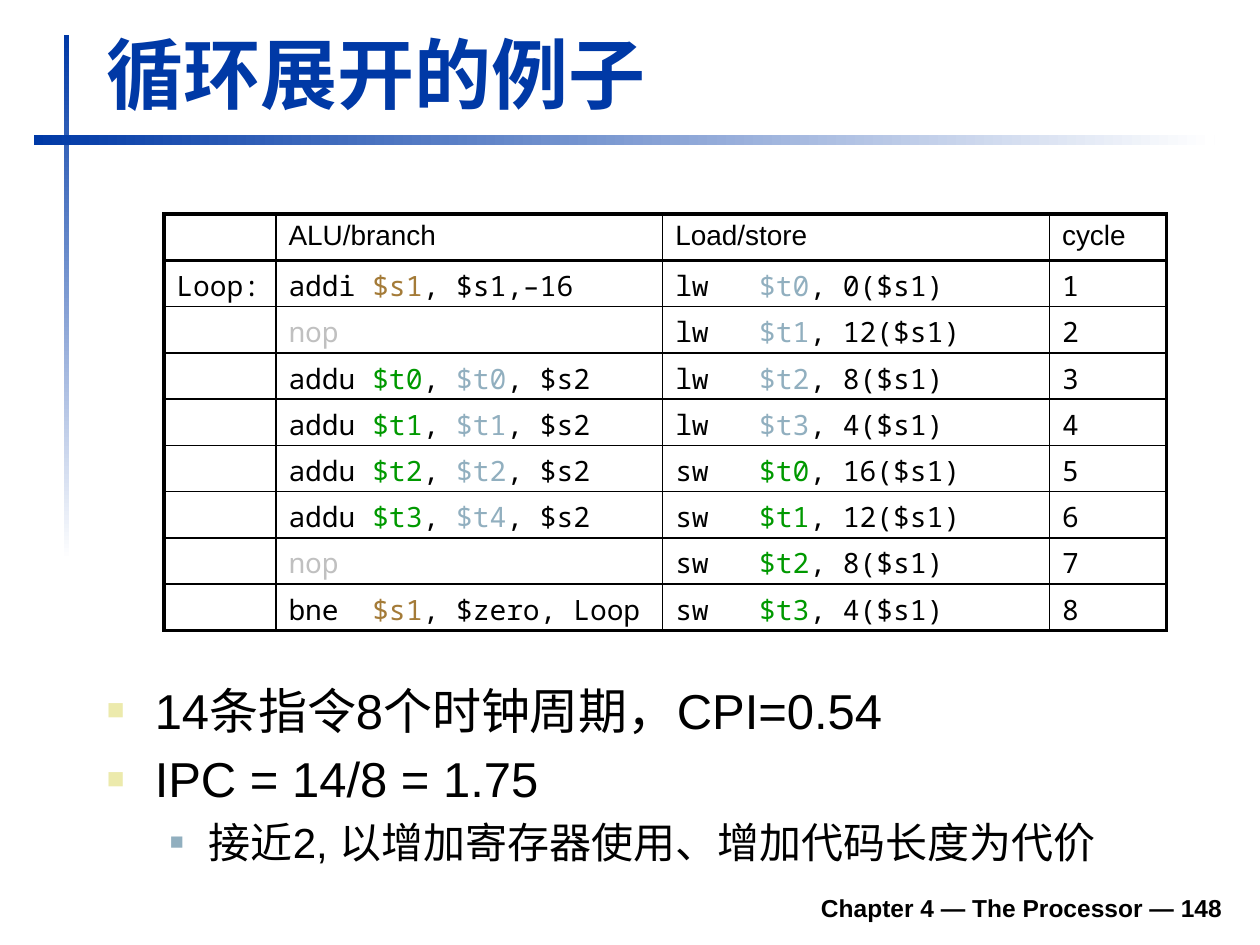
"""Build the loop unrolling slide: rules, title, schedule table, conclusions and footer."""
from lxml.etree import SubElement
from pptx import Presentation
from pptx.dml.color import RGBColor
from pptx.enum.shapes import MSO_SHAPE
from pptx.enum.text import MSO_ANCHOR, MSO_AUTO_SIZE, PP_ALIGN
from pptx.oxml.ns import qn
from pptx.util import Inches, Pt

COLORS = {
    "black": "000000", "white": "FFFFFF", "blue": "0039A6", "pointer": "A47B38",
    "loaded": "91AFBF", "result": "009900", "idle": "C0C0C0", "cream": "ECEAAC",
}

deck = Presentation()
deck.slide_width, deck.slide_height = Inches(10), Inches(7.5)
slide = deck.slides.add_slide(deck.slide_layouts[6])
UNIT = deck.slide_width / 100


def grid(*counts):
    return [round(count * UNIT) for count in counts]


def add_run(paragraph, text, size, color="black", font="Arial", bold=False):
    run = paragraph.add_run()
    run.text = text
    run.font.size, run.font.name, run.font.bold = Pt(size), font, bold
    run.font.color.rgb = RGBColor.from_string(COLORS[color])


for area, angle in (((5.1, 2.8, 0.4, 41.7), 270), ((2.7, 10.7, 93.7, 0.8), 0)):
    rule = slide.shapes.add_shape(MSO_SHAPE.RECTANGLE, *grid(*area))
    rule.shadow.inherit = False
    rule.line.fill.background()
    rule.fill.gradient()
    rule.fill.gradient_angle = angle
    for stop, position, color in zip(rule.fill.gradient_stops, (0, 1), ("blue", "white")):
        stop.position = position
        stop.color.rgb = RGBColor.from_string(COLORS[color])

captions = [
    ((18.5, 69.8, 79.5, 3.9), "Chapter 4 — The Processor — 148", 14, "black", PP_ALIGN.RIGHT),
    ((7.5, 1.6, 90.3, 8.3), "循环展开的例子", 44, "blue", PP_ALIGN.LEFT),
]
for area, wording, size, color, alignment in captions:
    caption = slide.shapes.add_textbox(*grid(*area)).text_frame
    caption.word_wrap = True
    caption.vertical_anchor = MSO_ANCHOR.BOTTOM
    if color == "blue":
        caption.auto_size = MSO_AUTO_SIZE.SHAPE_TO_FIT_TEXT
    caption.paragraphs[0].alignment = alignment
    add_run(caption.paragraphs[0], wording, size, color, bold=True)

conclusions = [
    ("14条指令8个时钟周期，CPI=0.54", 0, 28, 0.38, 0.38, "cream", 60),
    ("IPC = 14/8 = 1.75", 0, 28, 0.38, 0.38, "cream", 60),
    ("接近2, 以增加寄存器使用、增加代码长度为代价", 1, 24, 0.81, 0.31, "loaded", 55),
]
body = slide.shapes.add_textbox(*grid(7.5, 53.5, 90.5, 14.7)).text_frame
body.word_wrap = True
for index, (wording, level, size, margin, hang, color, percent) in enumerate(conclusions):
    point = body.add_paragraph() if index else body.paragraphs[0]
    point.level = level
    if index:
        point.space_before = Pt(size * 0.2)
    properties = point._p.get_or_add_pPr()
    properties.set("marL", str(Inches(margin)))
    properties.set("indent", str(-Inches(hang)))
    SubElement(SubElement(properties, qn("a:buClr")), qn("a:srgbClr"), val=COLORS[color])
    SubElement(properties, qn("a:buSzPct"), val=str(percent * 1000))
    SubElement(properties, qn("a:buFont"), typeface="Arial")
    SubElement(properties, qn("a:buChar"), char="■")
    add_run(point, wording, size)

schedule = [
    ("addi |pointer:$s1|, $s1,–16", "lw   |loaded:$t0|, 0($s1)"),
    ("|idle:nop", "lw   |loaded:$t1|, 12($s1)"),
    ("addu |result:$t0|, |loaded:$t0|, $s2", "lw   |loaded:$t2|, 8($s1)"),
    ("addu |result:$t1|, |loaded:$t1|, $s2", "lw   |loaded:$t3|, 4($s1)"),
    ("addu |result:$t2|, |loaded:$t2|, $s2", "sw   |result:$t0|, 16($s1)"),
    ("addu |result:$t3|, |loaded:$t4|, $s2", "sw   |result:$t1|, 12($s1)"),
    ("|idle:nop", "sw   |result:$t2|, 8($s1)"),
    ("bne  |pointer:$s1|, $zero, Loop", "sw   |result:$t3|, 4($s1)"),
]
rows = [("", "ALU/branch", "Load/store", "cycle")]
for cycle, (branch, memory) in enumerate(schedule, 1):
    rows.append(("Loop:" if cycle == 1 else "", branch, memory, str(cycle)))

table = slide.shapes.add_table(len(rows), 4, *grid(13, 17, 79.6, 33)).table
table.first_row = table.horz_banding = False
for column, width in zip(table.columns, grid(8.9, 30.7, 30.7, 9.3)):
    column.width = width

last_row, last_column = len(rows) - 1, 3
for r, row in enumerate(rows):
    for c, content in enumerate(row):
        cell = table.cell(r, c)
        line = cell.text_frame.paragraphs[0]
        for order, piece in enumerate(content.split("|")):
            color, wording = piece.split(":") if order % 2 else ("black", piece)
            if wording:
                add_run(line, wording, 16, color, "Noto Sans Mono" if r else "Arial")
        if not content:
            SubElement(line._p, qn("a:endParaRPr"), sz="1600")
        edges = {
            "a:lnL": 2.25 if c == 0 else 1,
            "a:lnR": 2.25 if c == last_column else 1,
            "a:lnT": {0: 2.25, 1: 1.5}.get(r, 1),
            "a:lnB": {0: 1.5, last_row: 2.25}.get(r, 1),
        }
        for edge, weight in edges.items():
            border = SubElement(cell._tc.get_or_add_tcPr(), qn(edge), w=str(Pt(weight)))
            SubElement(SubElement(border, qn("a:solidFill")), qn("a:srgbClr"), val=COLORS["black"])
        cell.fill.background()

deck.save("out.pptx")
